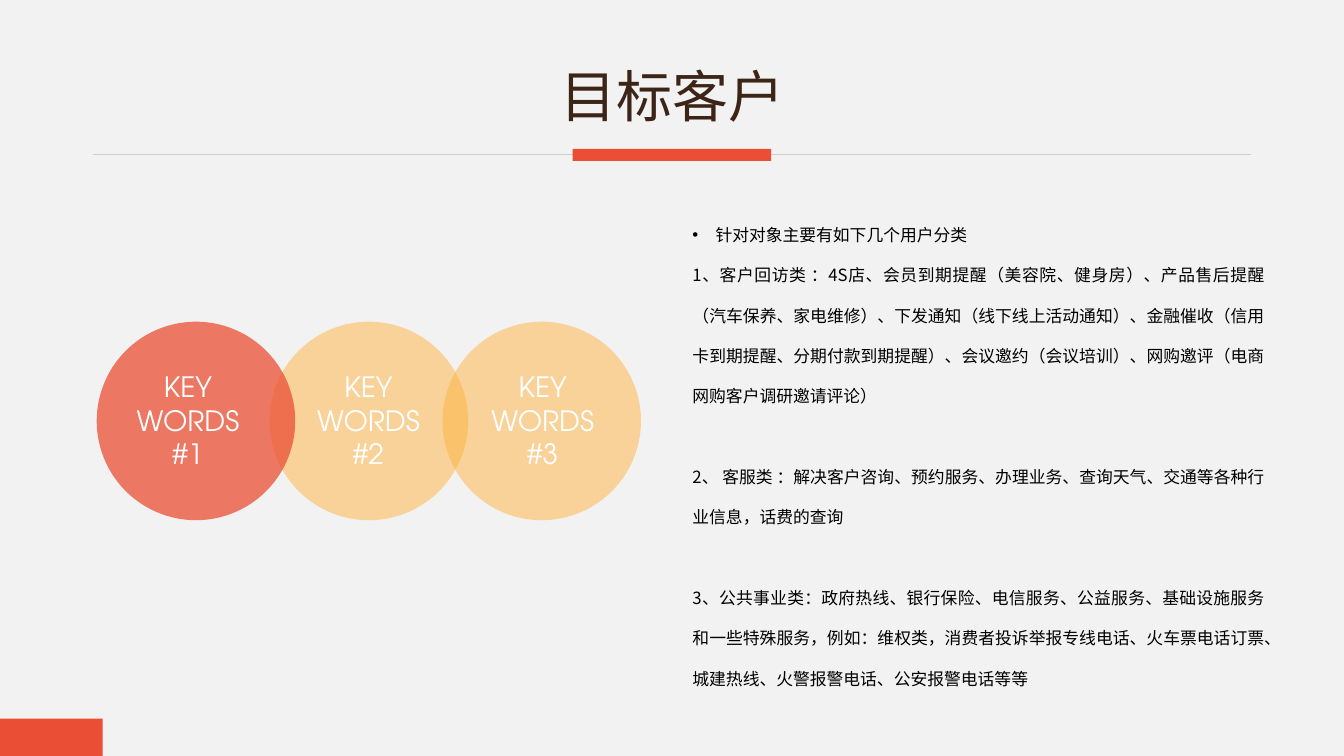
from dataclasses import dataclass

from lxml import etree
from pptx import Presentation
from pptx.dml.color import RGBColor
from pptx.enum.shapes import MSO_CONNECTOR, MSO_SHAPE
from pptx.enum.text import MSO_ANCHOR, MSO_AUTO_SIZE, PP_ALIGN
from pptx.oxml.ns import qn
from pptx.util import Pt

RECTANGLE, OVAL = MSO_SHAPE.RECTANGLE, MSO_SHAPE.OVAL
STRAIGHT = MSO_CONNECTOR.STRAIGHT
TOP, MIDDLE = MSO_ANCHOR.TOP, MSO_ANCHOR.MIDDLE
CENTER, JUSTIFY = PP_ALIGN.CENTER, PP_ALIGN.JUSTIFY
NO_AUTOFIT = MSO_AUTO_SIZE.NONE

DISPLAY_FONT = "TeX Gyre Adventor"
READING_FONT = "Noto Sans CJK TC"
RED, AMBER = "EA4E34", "FFB441"

# Row of overlapping circles, in points
CIRCLE_LEFT, CIRCLE_TOP, CIRCLE_SIZE, CIRCLE_STEP = 69.1, 229.8, 141.8, 123.5
LABEL_TOP, LABEL_WIDTH, LABEL_HEIGHT = 260.6, 88.6, 80

LINE_PITCH = 28.8
BULLET_INDENT = 16.5


@dataclass
class Keyword:
    number: int
    color: str
    opacity: int
    label_left: float


@dataclass
class Category:
    text: str
    bulleted: bool = False
    gap_before: float = 0


KEYWORDS = [
    Keyword(1, RED, 75, 90),
    Keyword(2, AMBER, 50, 218.9),
    Keyword(3, AMBER, 50, 343.4),
]

CATEGORIES = [
    Category("针对对象主要有如下几个用户分类", bulleted=True),
    Category("1、客户回访类 ：4S店、会员到期提醒（美容院、健身房）、产品售后提醒"
             "（汽车保养、家电维修）、下发通知（线下线上活动通知）、金融催收"
             "（信用卡到期提醒、分期付款到期提醒）、会议邀约（会议培训）、"
             "网购邀评（电商网购客户调研邀请评论）"),
    Category("2、 客服类 ：解决客户咨询、预约服务、办理业务、查询天气、交通等"
             "各种行业信息，话费的查询", gap_before=LINE_PITCH),
    Category("3、公共事业类：政府热线、银行保险、电信服务、公益服务、"
             "基础设施服务和一些特殊服务，例如：维权类，消费者投诉举报专线电话、"
             "火车票电话订票、城建热线、火警报警电话、公安报警电话等等",
             gap_before=LINE_PITCH),
]


def rgb(value: str) -> RGBColor:
    return RGBColor.from_string(value)


def apply(target, formats: dict) -> None:
    for name, value in formats.items():
        setattr(target, name, value)


def place(shape, left: float, top: float, width: float, height: float) -> None:
    apply(shape, {"left": Pt(left), "top": Pt(top),
                  "width": Pt(width), "height": Pt(height)})


def write(paragraph, text: str, font: str, size: float, color: str,
          **formats) -> None:
    apply(paragraph, formats)
    run = paragraph.add_run()
    run.text = text
    apply(run.font, {"name": font, "size": Pt(size), "bold": False})
    run.font.color.rgb = rgb(color)
    east_asian = etree.SubElement(run.font._element, qn("a:ea"))
    east_asian.set("typeface", font)


def set_bullet(paragraph, bulleted: bool) -> None:
    properties = paragraph._p.get_or_add_pPr()
    indent = int(Pt(BULLET_INDENT)) if bulleted else 0
    properties.set("marL", str(indent))
    properties.set("indent", str(-indent))
    if bulleted:
        etree.SubElement(properties, qn("a:buChar")).set("char", "•")
    else:
        etree.SubElement(properties, qn("a:buNone"))


def add_filled(slide, kind, left: float, top: float, width: float,
               height: float, color: str, opacity: int = 100) -> None:
    shape = slide.shapes.add_shape(kind, Pt(left), Pt(top), Pt(width), Pt(height))
    shape.shadow.inherit = False
    shape.fill.solid()
    shape.fill.fore_color.rgb = rgb(color)
    shape.line.fill.background()
    if opacity < 100:
        fill_color = shape._element.spPr.find(".//" + qn("a:srgbClr"))
        etree.SubElement(fill_color, qn("a:alpha")).set("val", str(opacity * 1000))


def add_rule(slide, left: float, right: float, y: float, color: str) -> None:
    rule = slide.shapes.add_connector(STRAIGHT, Pt(left), Pt(y), Pt(right), Pt(y))
    rule.line.color.rgb = rgb(color)
    rule.line.width = Pt(1)
    etree.SubElement(rule._element.spPr, qn("a:effectLst"))


def add_keyword(slide, keyword: Keyword) -> None:
    left = CIRCLE_LEFT + (keyword.number - 1) * CIRCLE_STEP
    add_filled(slide, OVAL, left, CIRCLE_TOP, CIRCLE_SIZE, CIRCLE_SIZE,
               keyword.color, keyword.opacity)
    label = slide.shapes.add_textbox(Pt(keyword.label_left), Pt(LABEL_TOP),
                                     Pt(LABEL_WIDTH), Pt(LABEL_HEIGHT))
    frame = label.text_frame
    frame.word_wrap = False
    for i, word in enumerate(("KEY", "WORDS", f"#{keyword.number}")):
        paragraph = frame.add_paragraph() if i else frame.paragraphs[0]
        write(paragraph, word, DISPLAY_FONT, 20, "FFFFFF", alignment=CENTER)


def fill_title(title) -> None:
    place(title, 66.2, 28.8, 828, 85)
    apply(title.text_frame, {"vertical_anchor": MIDDLE, "auto_size": NO_AUTOFIT})
    write(title.text_frame.paragraphs[0], "目标客户", DISPLAY_FONT, 40, "3C2417",
          alignment=CENTER, line_spacing=0.9)


def fill_categories(body) -> None:
    place(body, 487.4, 142.6, 423.4, 397)
    frame = body.text_frame
    apply(frame, {"vertical_anchor": TOP, "auto_size": NO_AUTOFIT,
                  "word_wrap": True})
    for i, category in enumerate(CATEGORIES):
        paragraph = frame.add_paragraph() if i else frame.paragraphs[0]
        write(paragraph, category.text, READING_FONT, 12, "000000",
              alignment=JUSTIFY, line_spacing=Pt(LINE_PITCH),
              space_before=Pt(category.gap_before), space_after=Pt(0))
        set_bullet(paragraph, category.bulleted)


def main() -> None:
    deck = Presentation()
    apply(deck, {"slide_width": Pt(960), "slide_height": Pt(540)})
    slide = deck.slides.add_slide(deck.slide_layouts[1])
    slide.background.fill.solid()
    slide.background.fill.fore_color.rgb = rgb("F2F2F2")

    # Heading and page accents
    add_rule(slide, 66.2, 893.5, 110.2, "D0CECE")
    add_filled(slide, RECTANGLE, 409, 106.4, 141.8, 8.6, RED)
    add_filled(slide, RECTANGLE, 0, 513.4, 73.4, 26.6, RED)
    fill_title(slide.shapes.title)

    # Customer categories
    fill_categories(slide.placeholders[1])

    # Keyword circles, the first one on top
    for keyword in reversed(KEYWORDS):
        add_keyword(slide, keyword)

    deck.save("out.pptx")


if __name__ == "__main__":
    main()
